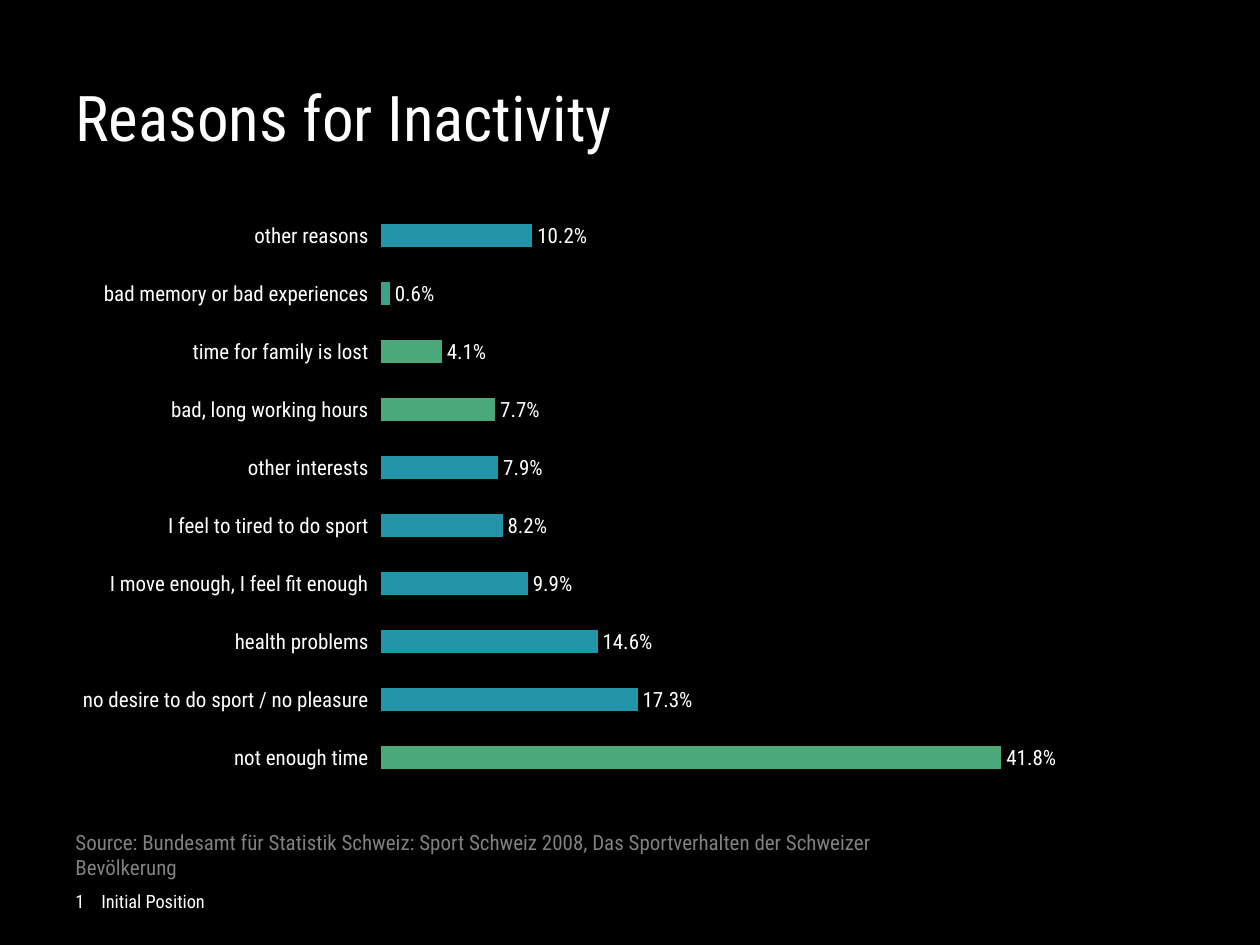
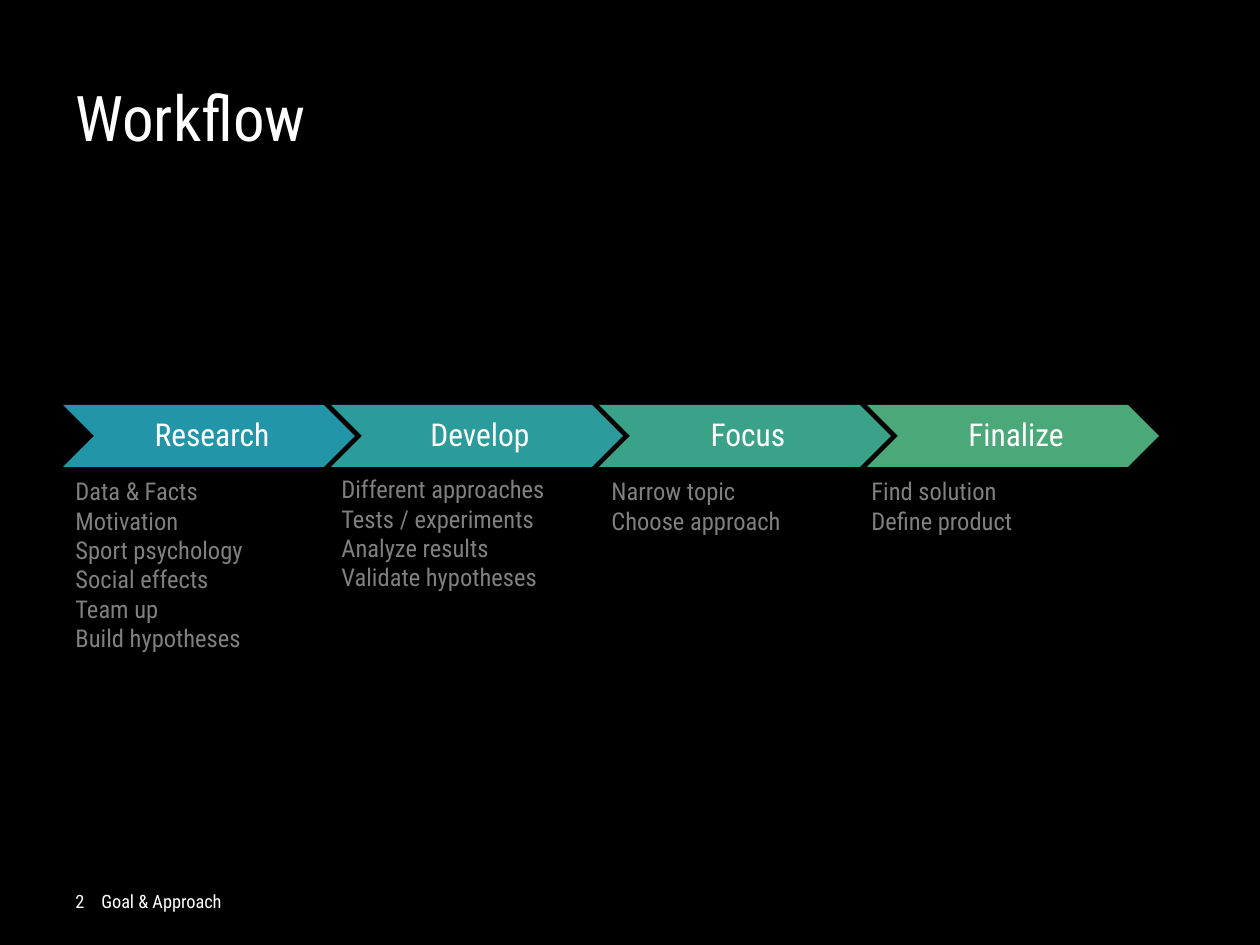
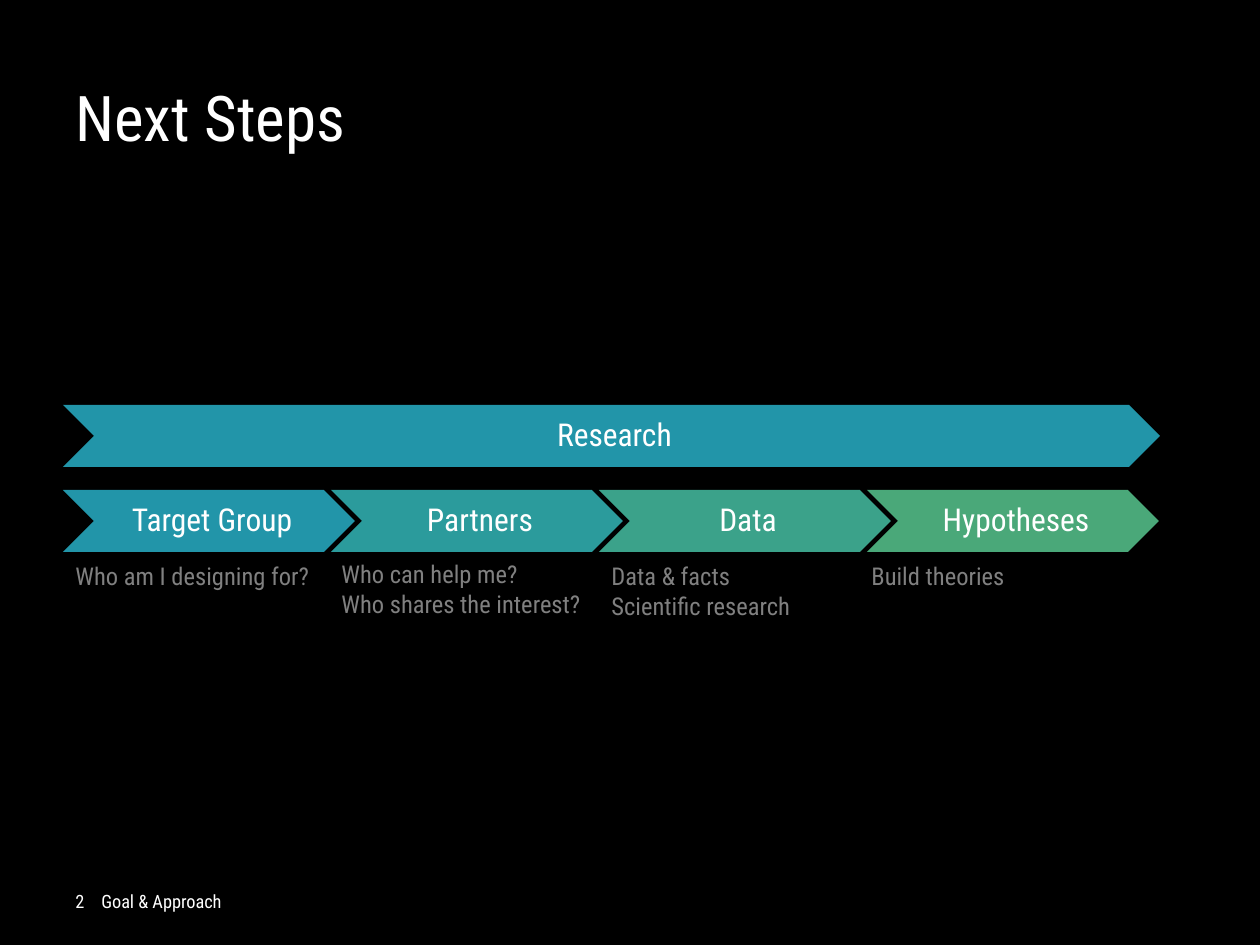
"""Build three dark slides on reasons for inactivity and the project workflow."""
from pptx import Presentation
from pptx.chart.data import CategoryChartData
from pptx.dml.color import RGBColor
from pptx.enum.chart import XL_CHART_TYPE as Kind, XL_LABEL_POSITION as Spot
from pptx.enum.chart import XL_TICK_MARK as Tick
from pptx.enum.shapes import MSO_SHAPE as Form
from pptx.enum.text import MSO_ANCHOR as Anchor, PP_ALIGN as Align
from pptx.oxml import parse_xml
from pptx.oxml.ns import nsdecls
from pptx.util import Emu, Pt

FONT = "Roboto Condensed"
BLACK = RGBColor(0x00, 0x00, 0x00)
WHITE = RGBColor(0xFF, 0xFF, 0xFF)
GREY = RGBColor(0x80, 0x80, 0x80)
BLUE = RGBColor(0x22, 0x95, 0xA9)
TEAL = RGBColor(0x2B, 0x9B, 0x9C)
JADE = RGBColor(0x3B, 0xA2, 0x8A)
GREEN = RGBColor(0x4A, 0xA8, 0x79)
LEFT = 63


def px(*sizes):
    return [Emu(round(size * 914400 / 126)) for size in sizes]


def write(shapes, box, lines, size, color=WHITE, anchor=Anchor.TOP):
    frame = shapes.add_textbox(*px(*box)).text_frame
    frame.word_wrap = True
    frame.vertical_anchor = anchor
    frame.text = "\n".join(lines)
    for para in frame.paragraphs:
        para.font.name = FONT
        para.font.size = Pt(size)
        para.font.color.rgb = color
    return frame


deck = Presentation()
deck.slide_width, deck.slide_height = px(1260, 945)

slides = []
for title, number, part in (
    ("Reasons for Inactivity", 1, "Initial Position"),
    ("Workflow", 2, "Goal & Approach"),
    ("Next Steps", 2, "Goal & Approach"),
):
    slide = deck.slides.add_slide(deck.slide_layouts[6])
    slide.background.fill.solid()
    slide.background.fill.fore_color.rgb = BLACK
    write(slide.shapes, (LEFT, 38, 1134, 157), [title], 36, anchor=Anchor.MIDDLE)
    foot = write(slide.shapes, (LEFT, 876, 766, 50), [f"{number}\t{part}"], 10.5,
                 anchor=Anchor.MIDDLE)
    foot.paragraphs[0]._p.get_or_add_pPr().insert(0, parse_xml(
        f'<a:tabLst {nsdecls("a")}><a:tab pos="{px(26)[0]}" algn="l"/></a:tabLst>'))
    slides.append(slide)
reasons, flow, steps = slides

write(reasons.shapes, (LEFT, 823, 912, 38),
      ["Source: Bundesamt für Statistik Schweiz: Sport Schweiz 2008, "
       "Das Sportverhalten der Schweizer Bevölkerung"], 12, GREY)

shares = (
    ("not enough time", 0.418, GREEN),
    ("no desire to do sport / no pleasure", 0.173, BLUE),
    ("health problems", 0.146, BLUE),
    ("I move enough, I feel fit enough", 0.099, BLUE),
    ("I feel to tired to do sport", 0.082, BLUE),
    ("other interests", 0.079, BLUE),
    ("bad, long working hours", 0.077, GREEN),
    ("time for family is lost", 0.041, GREEN),
    ("bad memory or bad experiences", 0.006, JADE),
    ("other reasons", 0.102, BLUE),
)
data = CategoryChartData(number_format="0.0%")
data.categories = [reason for reason, share, color in shares]
data.add_series("Series 1", [share for reason, share, color in shares])
chart = reasons.shapes.add_chart(
    Kind.BAR_CLUSTERED, *px(LEFT, 195, 1007, 605), data).chart
chart.has_legend = False
chart.has_title = False
chart.font.name = FONT
chart.font.size = Pt(12)
chart.font.color.rgb = WHITE

axis = chart.category_axis
axis.format.line.fill.background()
axis.major_tick_mark = Tick.OUTSIDE
axis.has_major_gridlines = False
scale = chart.value_axis
scale.minimum_scale = 0
scale.maximum_scale = 0.45
scale.has_major_gridlines = False
scale.visible = False

plot = chart.plots[0]
plot.gap_width = 150
plot.vary_by_categories = False
plot.has_data_labels = True
labels = plot.data_labels
labels.show_value = True
labels.position = Spot.OUTSIDE_END
labels.number_format = "0.0%"
labels.number_format_is_linked = False

bars = plot.series[0]
bars.format.fill.solid()
bars.format.fill.fore_color.rgb = BLUE
for place, (reason, share, color) in enumerate(shares):
    if color != BLUE:
        fill = bars.points[place].format.fill
        fill.solid()
        fill.fore_color.rgb = color

area = chart._chartSpace.chart.plotArea
for old in area.xpath("c:layout"):
    area.remove(old)
area.insert(0, parse_xml(
    f'<c:layout {nsdecls("c")}><c:manualLayout><c:layoutTarget val="inner"/>'
    f'<c:xMode val="edge"/><c:yMode val="edge"/><c:x val="{318 / 1007:.4f}"/>'
    f'<c:y val="{12 / 605:.4f}"/><c:w val="{668 / 1007:.4f}"/>'
    f'<c:h val="{580 / 605:.4f}"/></c:manualLayout></c:layout>'))

work = (
    ("Research", ["Data & Facts", "Motivation", "Sport psychology",
                  "Social effects", "Team up", "Build hypotheses"]),
    ("Develop", ["Different approaches", "Tests / experiments",
                 "Analyze results", "Validate hypotheses"]),
    ("Focus", ["Narrow topic", "Choose approach"]),
    ("Finalize", ["Find solution", "Define product"]),
)
plan = (
    ("Target Group", ["Who am I designing for?"]),
    ("Partners", ["Who can help me?", "Who shares the interest?"]),
    ("Data", ["Data & facts", "Scientific research"]),
    ("Hypotheses", ["Build theories"]),
)
tints = (BLUE, TEAL, JADE, GREEN)
spots = ((63, 65), (329, 63), (599, 65), (859, 65))

arrows = [(steps, "Research", LEFT, 405, 1097, 116, BLUE)]
for slide, top, stages in ((flow, 405, work), (steps, 490, plan)):
    for col, (name, notes) in enumerate(stages):
        arrows.append((slide, name, LEFT + 268 * col, top, 292, 31, tints[col]))
        left, drop = spots[col]
        write(slide.shapes, (left, top + drop, 359, 13 + 30 * len(notes)),
              notes, 14, GREY)

for slide, name, left, top, width, inset, color in arrows:
    arrow = slide.shapes.add_shape(Form.CHEVRON, *px(left, top, width, 62))
    arrow.shadow.inherit = False
    arrow.fill.solid()
    arrow.fill.fore_color.rgb = color
    arrow.line.fill.background()
    frame = write(slide.shapes, (left + inset, top, width - 2 * inset, 62),
                  [name], 18, anchor=Anchor.MIDDLE)
    frame.margin_left, frame.margin_right = px(10, 4)
    frame.margin_top, frame.margin_bottom = px(4, 4)
    frame.paragraphs[0].alignment = Align.CENTER
    frame.paragraphs[0].line_spacing = 0.9

deck.save("out.pptx")
